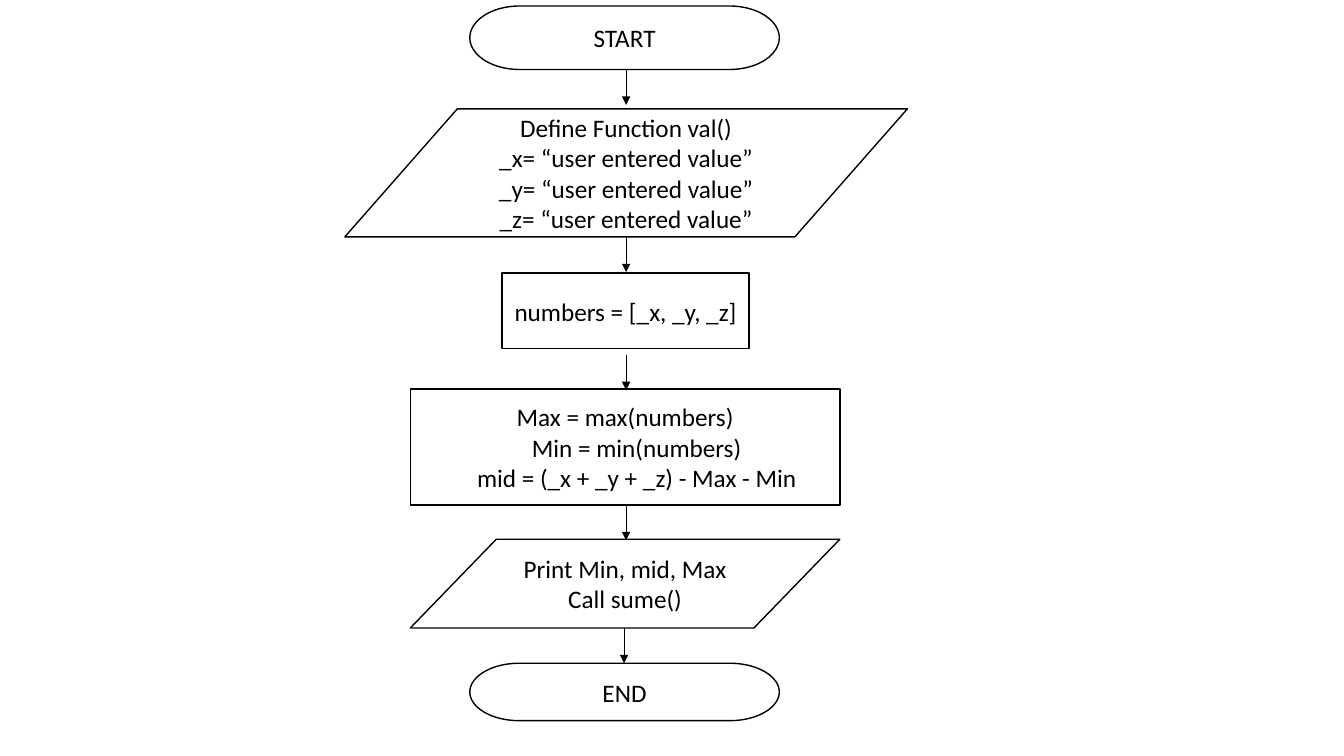
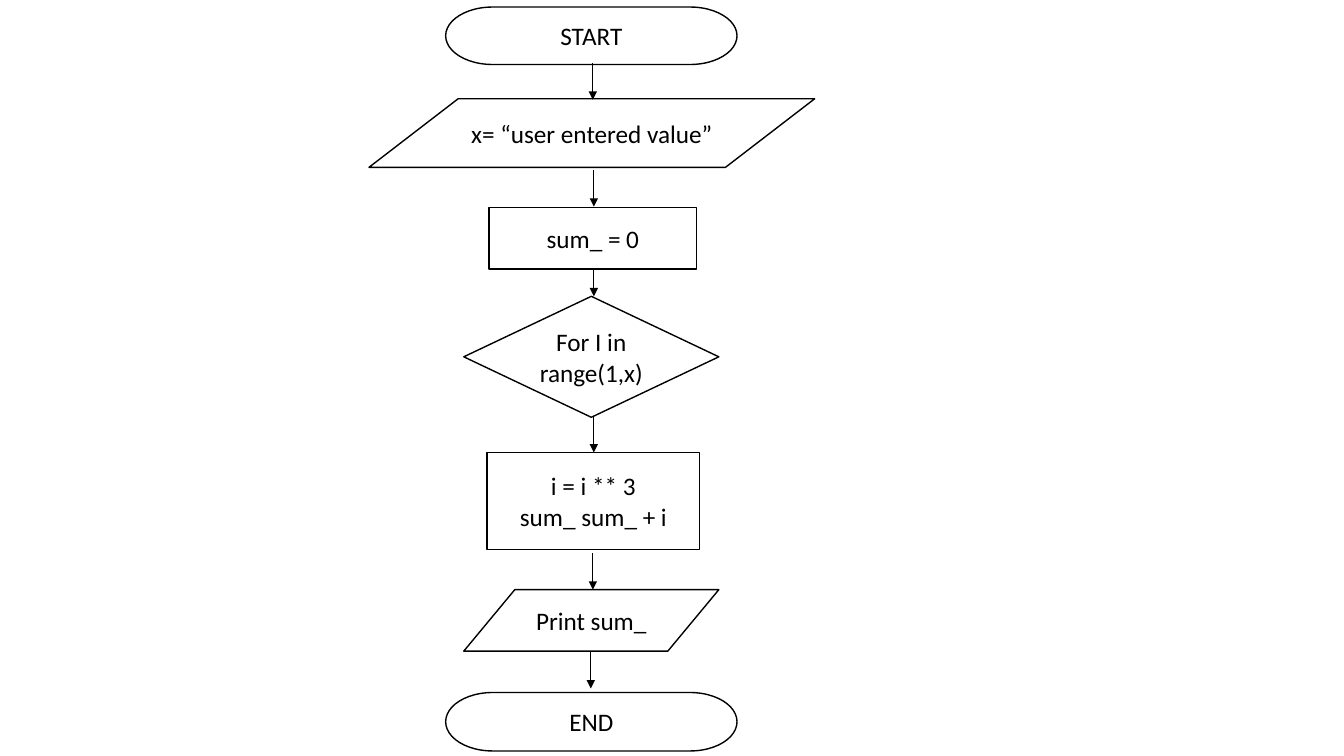
"""Build two flowchart slides: sorting three numbers and summing cubes."""
from dataclasses import dataclass

from pptx import Presentation
from pptx.dml.color import RGBColor
from pptx.enum.shapes import MSO_CONNECTOR, MSO_SHAPE
from pptx.enum.text import MSO_ANCHOR, PP_ALIGN
from pptx.oxml.ns import qn
from pptx.util import Emu, Pt
from lxml import etree

TERMINATOR = MSO_SHAPE.FLOWCHART_TERMINATOR
DATA = MSO_SHAPE.FLOWCHART_DATA
PROCESS = MSO_SHAPE.FLOWCHART_PROCESS
DECISION = MSO_SHAPE.FLOWCHART_DECISION
STRAIGHT = MSO_CONNECTOR.STRAIGHT
CENTER = PP_ALIGN.CENTER
MIDDLE = MSO_ANCHOR.MIDDLE

EMU_PER_PX = 9144
SLIDE_W, SLIDE_H = 1333, 750
INK, PAPER = "000000", "FFFFFF"
FONT, FONT_SIZE = "Calibri", 18
BOX_LINE, ARROW_LINE = 1, 0.5
CODE_INDENT = 23


@dataclass(frozen=True)
class Step:
    kind: MSO_SHAPE
    x: int
    y: int
    w: int
    h: int
    lines: tuple[str, ...]
    indented_from: int = 99


@dataclass(frozen=True)
class Arrow:
    x: int
    top: int
    bottom: int


@dataclass(frozen=True)
class Flowchart:
    steps: tuple[Step, ...]
    arrows: tuple[Arrow, ...]


FLOWCHARTS = (
    Flowchart(
        steps=(
            Step(TERMINATOR, 466, 6, 307, 63, ("START",)),
            Step(DATA, 342, 108, 558, 127, (
                "Define Function val()",
                *(f"_{name}= “user entered value”" for name in "xyz"),
            )),
            Step(PROCESS, 498, 271, 245, 75, ("numbers = [_x, _y, _z]",)),
            Step(PROCESS, 407, 386, 426, 115, (
                "Max = max(numbers)",
                "Min = min(numbers)",
                "mid = (_x + _y + _z) - Max - Min",
            ), indented_from=1),
            Step(DATA, 407, 535, 426, 88, ("Print Min, mid, Max", "Call sume()")),
            Step(TERMINATOR, 466, 658, 307, 57, ("END",)),
        ),
        arrows=(
            Arrow(621, 69, 104),
            Arrow(621, 235, 270),
            Arrow(621, 352, 387),
            Arrow(621, 501, 536),
            Arrow(619, 623, 658),
        ),
    ),
    Flowchart(
        steps=(
            Step(TERMINATOR, 442, 7, 289, 57, ("START",)),
            Step(DATA, 366, 98, 442, 68, ("x= “user entered value”",)),
            Step(PROCESS, 485, 206, 206, 61, ("sum_ = 0",)),
            Step(DECISION, 460, 294, 253, 120, ("For I in range(1,x)",)),
            Step(PROCESS, 483, 449, 211, 96, ("i = i ** 3", "sum_ sum_ + i")),
            Step(DATA, 460, 585, 253, 61, ("Print sum_",)),
            Step(TERMINATOR, 442, 687, 289, 58, ("END",)),
        ),
        arrows=(
            Arrow(588, 63, 99),
            Arrow(589, 169, 205),
            Arrow(589, 266, 294),
            Arrow(589, 414, 449),
            Arrow(588, 549, 585),
            Arrow(586, 647, 683),
        ),
    ),
)


def px(length: int) -> Emu:
    """Turn px into EMU."""
    return Emu(length * EMU_PER_PX)


def rgb(value: str) -> RGBColor:
    """Turn a hex string into a colour."""
    return RGBColor.from_string(value)


def draw_step(s, step: Step) -> None:
    """Draw one outlined flowchart symbol with its centred lines."""
    sp = s.shapes.add_shape(step.kind, px(step.x), px(step.y), px(step.w), px(step.h))
    sp.shadow.inherit = False
    sp.fill.solid()
    sp.fill.fore_color.rgb = rgb(PAPER)
    sp.line.color.rgb = rgb(INK)
    sp.line.width = Pt(BOX_LINE)
    tf = sp.text_frame
    tf.word_wrap = True
    tf.vertical_anchor = MIDDLE
    for i, line in enumerate(step.lines):
        p = tf.add_paragraph() if i else tf.paragraphs[0]
        p.alignment = CENTER
        if i >= step.indented_from:
            p._p.get_or_add_pPr().set("marL", str(px(CODE_INDENT)))
        r = p.add_run()
        r.text = line
        r.font.name = FONT
        r.font.size = Pt(FONT_SIZE)
        r.font.color.rgb = rgb(INK)


def draw_arrow(s, arrow: Arrow) -> None:
    """Draw one downward arrow."""
    x = px(arrow.x)
    cxn = s.shapes.add_connector(STRAIGHT, x, px(arrow.top), x, px(arrow.bottom))
    cxn.line.color.rgb = rgb(INK)
    cxn.line.width = Pt(ARROW_LINE)
    ln = cxn.line._get_or_add_ln()
    etree.SubElement(ln, qn("a:tailEnd"), type="triangle")
    etree.SubElement(cxn._element.spPr, qn("a:effectLst"))


def main() -> None:
    """Build and save the deck."""
    prs = Presentation()
    prs.slide_width, prs.slide_height = px(SLIDE_W), px(SLIDE_H)
    blank = prs.slide_layouts.get_by_name("Blank")
    for chart in FLOWCHARTS:
        s = prs.slides.add_slide(blank)
        for step in chart.steps:
            draw_step(s, step)
        for arrow in chart.arrows:
            draw_arrow(s, arrow)
    prs.save("out.pptx")


if __name__ == "__main__":
    main()
